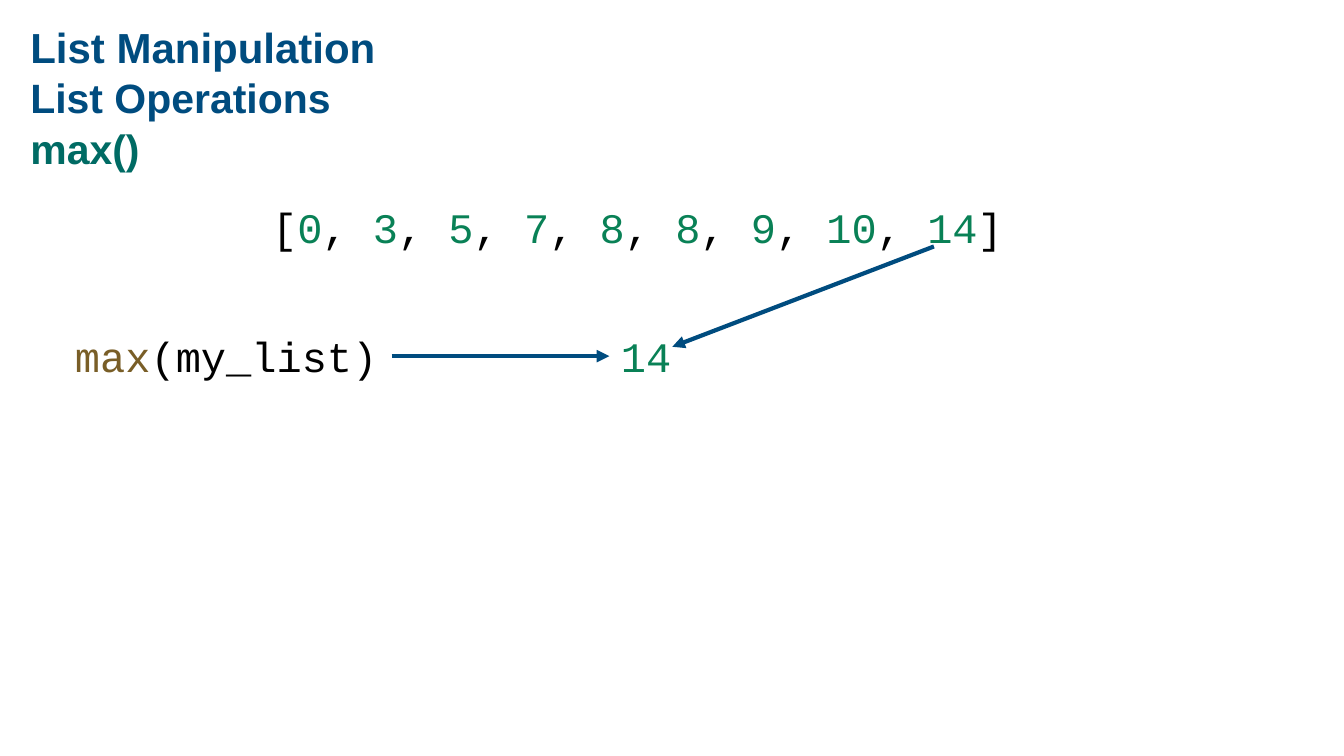
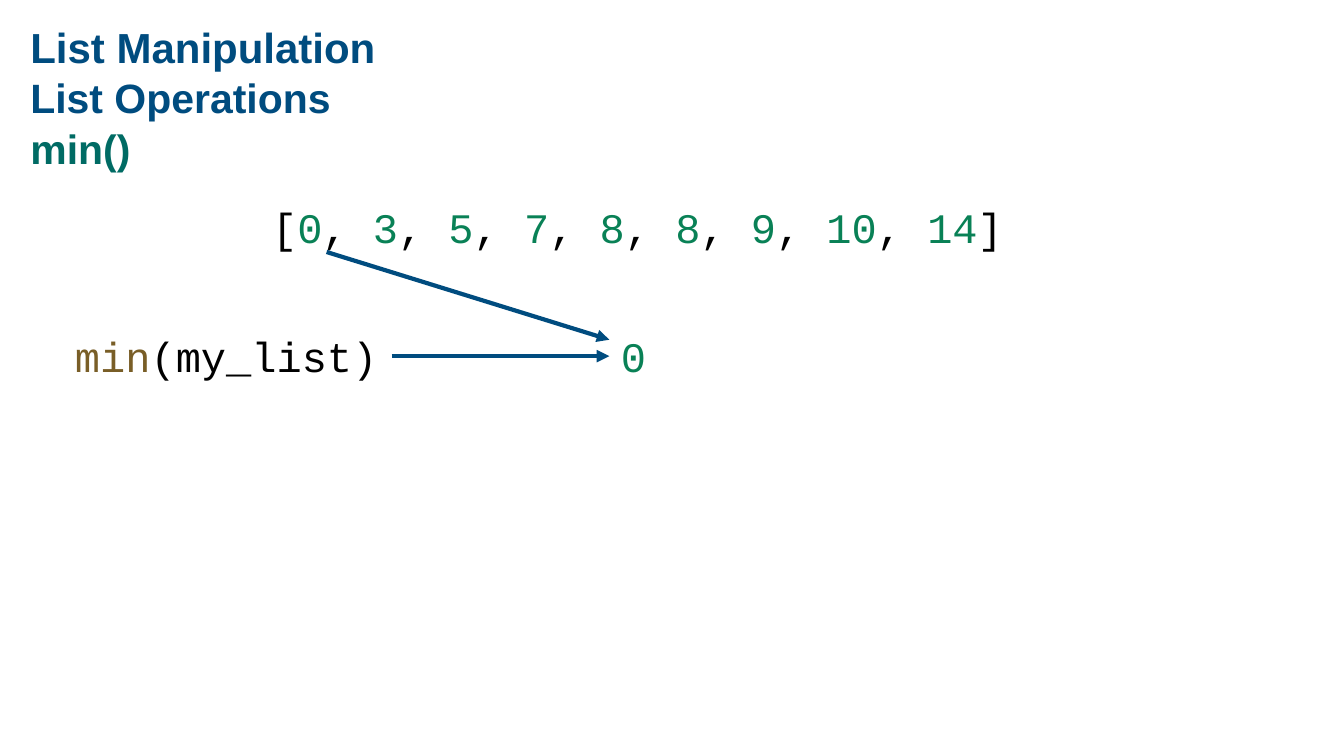
from pptx import Presentation
from pptx.dml.color import RGBColor
from pptx.enum.shapes import MSO_CONNECTOR
from pptx.enum.text import MSO_AUTO_SIZE
from pptx.oxml.ns import qn
from pptx.util import Pt
from lxml import etree

STRAIGHT = MSO_CONNECTOR.STRAIGHT
GROW = MSO_AUTO_SIZE.SHAPE_TO_FIT_TEXT
FIXED = MSO_AUTO_SIZE.NONE

NAVY = RGBColor(0x00, 0x4C, 0x7F)
TEAL = RGBColor(0x00, 0x6B, 0x64)
GREEN = RGBColor(0x09, 0x81, 0x56)
BROWN = RGBColor(0x79, 0x5E, 0x27)
BLACK = RGBColor(0, 0, 0)

WIDTH, HEIGHT = 1920, 1080
HEAD = (24, 19.4, 1614, 112.3)
BODY = (100, 283.7, 1368.8, 265)
LINE_H = 79.9
CODE = {"name": "Courier New", "size": Pt(60)}
TITLE = {"name": "Arial", "bold": True}
INSET = {"margin_left": Pt(19.4), "margin_top": Pt(19.4),
         "margin_right": Pt(19.4), "margin_bottom": Pt(19.4)}

NUMBERS = [0, 3, 5, 7, 8, 8, 9, 10, 14]
# function, result, width of the result, start and end of the arrow in BODY
CALLS = [
    ("max", max(NUMBERS), 101.5, (1234.2, 68.4), (860.5, 211.7)),
    ("min", min(NUMBERS), 62.6, (366.6, 76.3), (770.5, 201.6)),
]


def apply(item, values):
    for key, value in values.items():
        setattr(item, key, value)


def add_text(slide, box, runs, font, frame, spacing=None):
    """Write (text, colour) runs as one paragraph in a text box."""
    shape = slide.shapes.add_textbox(*map(Pt, box))
    apply(shape.text_frame, {"word_wrap": True, **frame})
    para = shape.text_frame.paragraphs[0]
    if spacing:
        para.line_spacing = spacing
    for text, color in runs:
        run = para.add_run()
        run.text = text
        apply(run.font, font)
        run.font.color.rgb = color


def add_code(slide, box, runs):
    add_text(slide, box, runs, CODE, {"auto_size": GROW})


def add_arrow(slide, start, end):
    arrow = slide.shapes.add_connector(STRAIGHT, *map(Pt, start + end))
    arrow.line.color.rgb = NAVY
    arrow.line.width = Pt(6)
    tail = etree.SubElement(arrow.line._get_or_add_ln(), qn("a:tailEnd"))
    tail.set("type", "triangle")
    etree.SubElement(arrow._element.spPr, qn("a:effectLst"))


def add_head(slide, box, topic):
    left, top, width, height = box
    rows = [
        ("List Manipulation", NAVY, 60, 0),
        ("List Operations", NAVY, 58.5, 73.5),
        (topic, TEAL, 58.5, 145.5),
    ]
    for text, color, size, drop in rows:
        add_text(slide, (left, top + drop, width, height), [(text, color)],
                 {**TITLE, "size": Pt(size)},
                 {"auto_size": FIXED, **INSET}, 0.9)


def list_runs():
    runs = [("[", BLACK)]
    for number in NUMBERS:
        runs += [(str(number), GREEN), (", ", BLACK)]
    runs[-1] = ("]", BLACK)
    return runs


def add_body(slide, box, name, result, result_w, start, end):
    """Show the list, the call below it and arrows to the result."""
    left, top, width, height = box
    row = top + height - LINE_H
    mid = row + LINE_H / 2
    add_code(slide, (left + 281.6, top, width - 281.6, LINE_H), list_runs())
    add_code(slide, (left, row, 918.7, LINE_H),
             [(name, BROWN), ("(my_list)", BLACK)])
    add_arrow(slide, (left + 459.4, mid), (left + 770.5, mid))
    add_code(slide, (left + 779.8, row, result_w, LINE_H),
             [(str(result), GREEN)])
    add_arrow(slide, *((left + x, top + y) for x, y in (start, end)))


def main():
    deck = Presentation()
    apply(deck, {"slide_width": Pt(WIDTH), "slide_height": Pt(HEIGHT)})
    for call in CALLS:
        slide = deck.slides.add_slide(deck.slide_layouts[6])
        add_head(slide, HEAD, f"{call[0]}()")
        add_body(slide, BODY, *call)
    deck.save("out.pptx")


if __name__ == "__main__":
    main()
